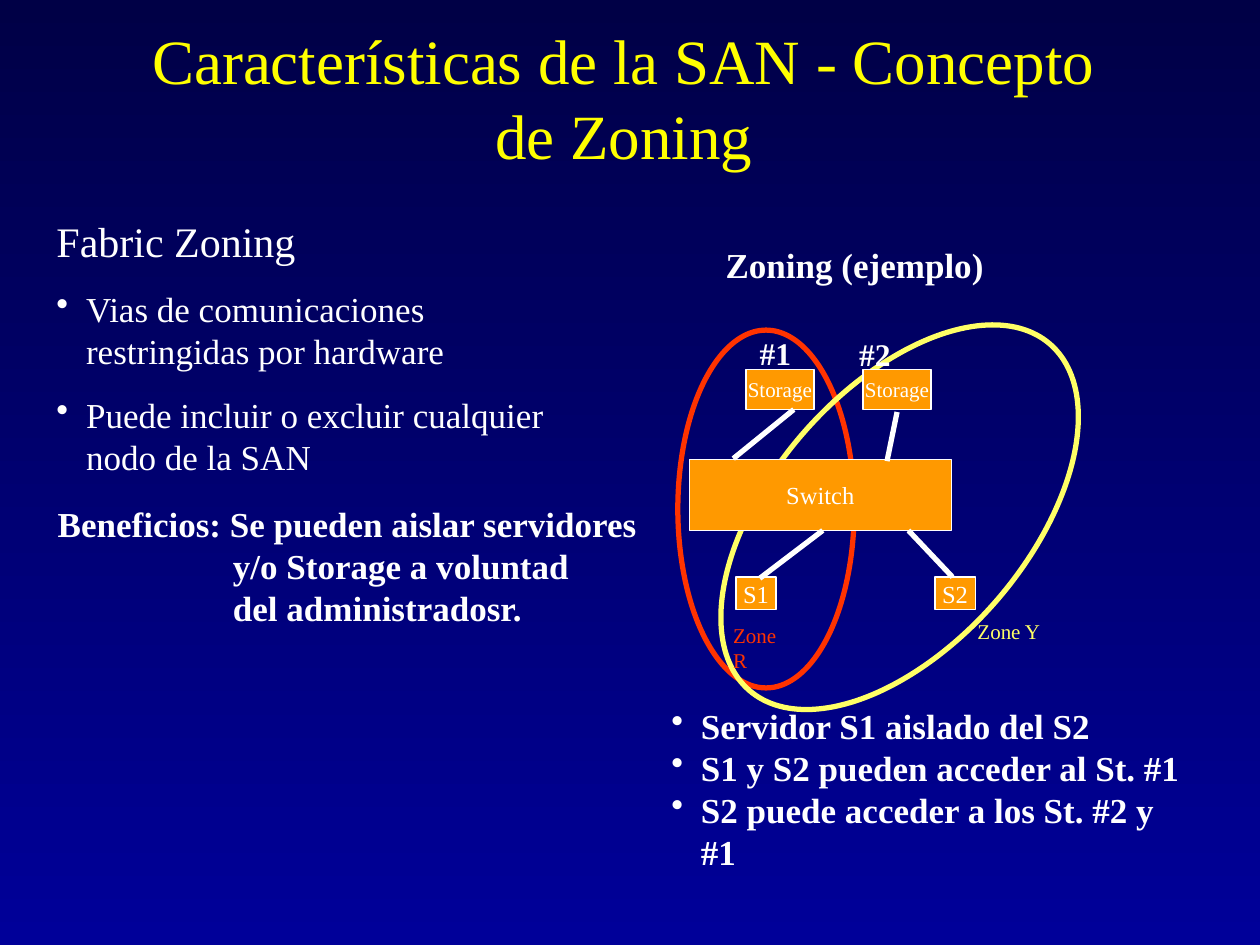
from pptx import Presentation
from pptx.dml.color import RGBColor
from pptx.enum import shapes, text
from pptx.oxml.ns import qn
from pptx.util import Inches, Pt
from lxml import etree

FONT = "Times New Roman"
HEX = {"top": "000046", "base": "000099", "title": "FFFF00", "white": "FFFFFF",
       "red": "FF3300", "yellow": "FFFF66", "box": "FF9900"}
TITLE = "Características de la SAN - Concepto de Zoning"

# Paragraphs: text, size, bold, space before, left margin, bullet
HANG, DEEP = 0.235, 1.39
LEFT = [("Fabric Zoning", 24, False, 0, 0, False),
        ("Vias de comunicaciones restringidas por hardware", 20, False, 12.5, HANG, True),
        ("Puede incluir o excluir cualquier nodo de la SAN", 20, False, 12.5, HANG, True)]
GAINS = [("Beneficios: Se pueden aislar servidores", 20, True, 0, 0, False),
         ("y/o Storage a voluntad", 20, True, 0, DEEP, False),
         ("del administradosr.", 20, True, 0, DEEP, False)]
ACCESS = [(line, 20, True, 0, HANG, True) for line in (
    "Servidor S1 aislado del S2",
    "S1 y S2 pueden acceder al St. #1",
    "S2 puede acceder a los St. #2 y #1")]

# Text blocks: paragraphs, place, wrap
BLOCKS = [(LEFT, (0.35, 1.66, 4.4, 2.3), True),
          (GAINS, (0.36, 3.94, 4.81, 1.1), False),
          (ACCESS, (5.23, 5.54, 4.3, 1.44), True)]
# Labels: text, place, size, bold, colour
LABELS = [("Zoning (ejemplo)", (5.66, 1.88, 2.32, 0.44), 20, True, "white"),
          ("Zone Y", (7.66, 4.86, 0.7, 0.3), 12, False, "yellow"),
          ("Zone R", (5.72, 4.89, 0.69, 0.3), 12, False, "red"),
          ("#1", (5.93, 2.6, 0.45, 0.4), 18, True, "white"),
          ("#2", (6.72, 2.61, 0.45, 0.4), 18, True, "white")]
# Zones: place, rotation, colour
ZONES = [((5.38, 2.62, 1.4, 2.84), 0, "red"),
         ((5.32, 3.09, 3.64, 2.03), 311, "yellow")]
# Nodes: text, place, size
NODES = [("Storage", (5.92, 2.93, 0.54, 0.32), 12),
         ("Storage", (6.85, 2.93, 0.54, 0.32), 12),
         ("S1", (5.84, 4.58, 0.32, 0.26), 14),
         ("S2", (7.42, 4.58, 0.32, 0.26), 14),
         ("Switch", (5.47, 3.65, 2.08, 0.56), 14)]
LINKS = [(6.03, 4.59, 6.53, 4.21), (7.56, 4.58, 7.21, 4.21),
         (6.3, 3.25, 5.82, 3.64), (7.12, 3.27, 7.04, 3.66)]


def rgb(name):
    return RGBColor.from_string(HEX[name])


def inches(place):
    return [Inches(v) for v in place]


def style(para, size, color="white", bold=False):
    for run in para.runs:
        font = run.font
        font.name, font.size, font.bold = FONT, Pt(size), bold
        font.color.rgb = rgb(color)


def indent(para, left, bullet):
    props = para._p.get_or_add_pPr()
    props.set("marL", str(Inches(left)))
    props.set("indent", str(-Inches(left) if bullet else 0))
    if bullet:
        etree.SubElement(props, qn("a:buChar")).set("char", "•")


def add_box(slide, place, wrap=False):
    frame = slide.shapes.add_textbox(*inches(place)).text_frame
    frame.word_wrap = wrap
    return frame


def add_block(slide, lines, place, wrap):
    frame = add_box(slide, place, wrap)
    for i, (line, size, bold, before, left, bullet) in enumerate(lines):
        para = frame.add_paragraph() if i else frame.paragraphs[0]
        para.text = line
        indent(para, left, bullet)
        para.space_before = Pt(before)
        style(para, size, bold=bold)


def add_label(slide, words, place, size, bold, color):
    frame = add_box(slide, place)
    frame.text = words
    style(frame.paragraphs[0], size, color, bold)


def add_zone(slide, place, turn, color):
    zone = slide.shapes.add_shape(shapes.MSO_SHAPE.OVAL, *inches(place))
    zone.shadow.inherit = False
    zone.rotation = turn
    zone.fill.background()
    zone.line.color.rgb = rgb(color)
    zone.line.width = Pt(3)


def add_node(slide, words, place, size):
    node = slide.shapes.add_shape(shapes.MSO_SHAPE.RECTANGLE, *inches(place))
    node.shadow.inherit = False
    node.fill.solid()
    node.fill.fore_color.rgb = rgb("box")
    node.line.color.rgb = rgb("white")
    node.line.width = Pt(0.75)
    frame = node.text_frame
    frame.word_wrap = False
    frame.vertical_anchor = text.MSO_ANCHOR.MIDDLE
    frame.text = words
    frame.paragraphs[0].alignment = text.PP_ALIGN.CENTER
    style(frame.paragraphs[0], size)


def add_link(slide, ends):
    link = slide.shapes.add_connector(shapes.MSO_CONNECTOR.STRAIGHT, *inches(ends))
    link.line.color.rgb = rgb("white")
    link.line.width = Pt(3)
    etree.SubElement(link._element.spPr, qn("a:effectLst"))


def set_title(slide):
    title = slide.shapes.title
    title.left, title.top, title.width, title.height = inches((0.98, 0.37, 7.94, 1.05))
    frame = title.text_frame
    frame.text = TITLE
    frame.word_wrap = True
    frame.auto_size = text.MSO_AUTO_SIZE.NONE
    frame.vertical_anchor = text.MSO_ANCHOR.BOTTOM
    frame.paragraphs[0].alignment = text.PP_ALIGN.CENTER
    style(frame.paragraphs[0], 36, "title")


def set_back(slide):
    fill = slide.background.fill
    fill.gradient()
    fill.gradient_angle = 270
    for stop, name, spot in zip(fill.gradient_stops, ("top", "base"), (0, 1)):
        stop.color.rgb = rgb(name)
        stop.position = spot


def main():
    deck = Presentation()
    deck.slide_width, deck.slide_height = Inches(10), Inches(7.5)
    slide = deck.slides.add_slide(deck.slide_layouts[5])
    set_back(slide)
    set_title(slide)
    for add, items in ((add_zone, ZONES), (add_block, BLOCKS),
                       (add_node, NODES), (add_label, LABELS)):
        for item in items:
            add(slide, *item)
    for ends in LINKS:
        add_link(slide, ends)
    deck.save("out.pptx")


if __name__ == "__main__":
    main()
